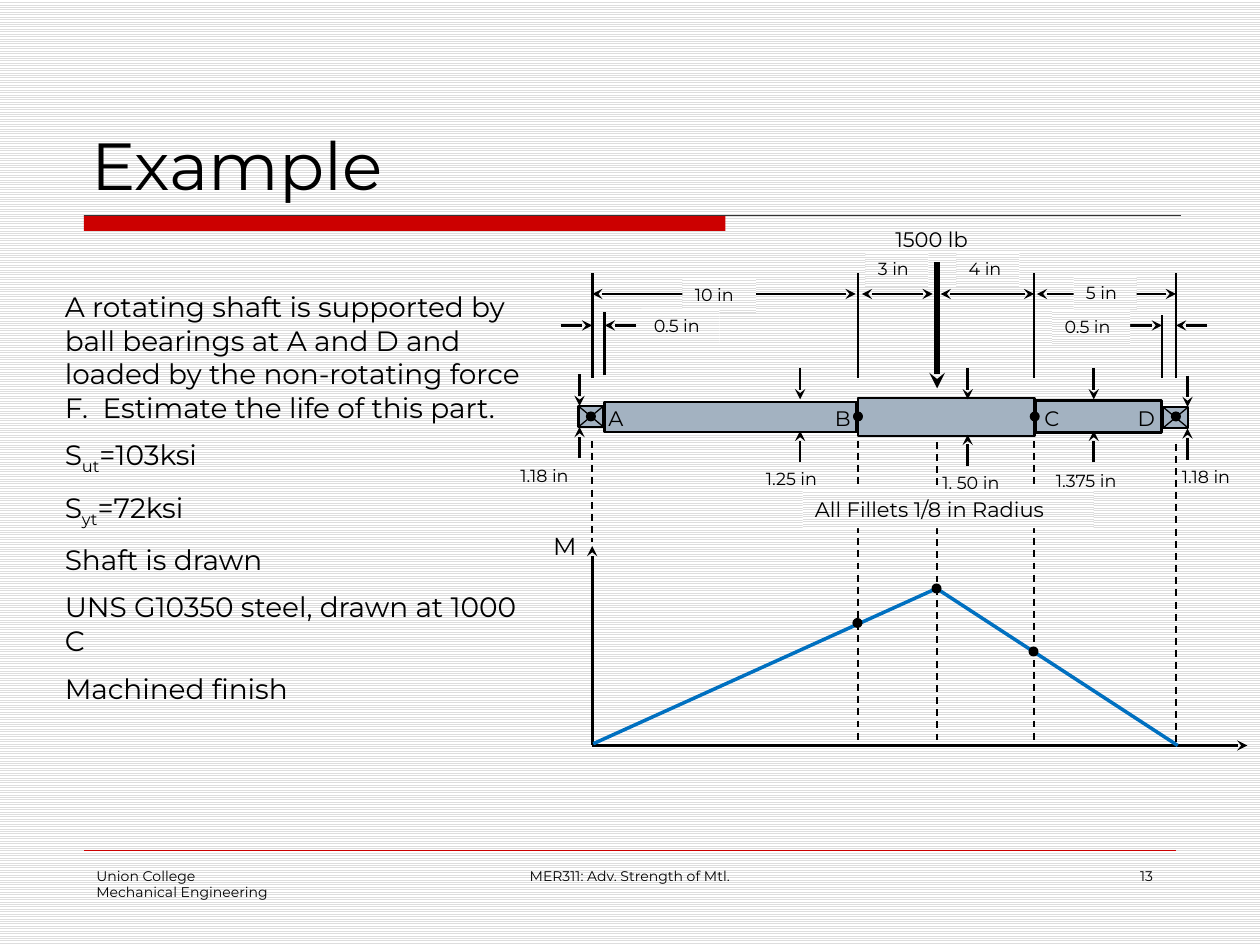
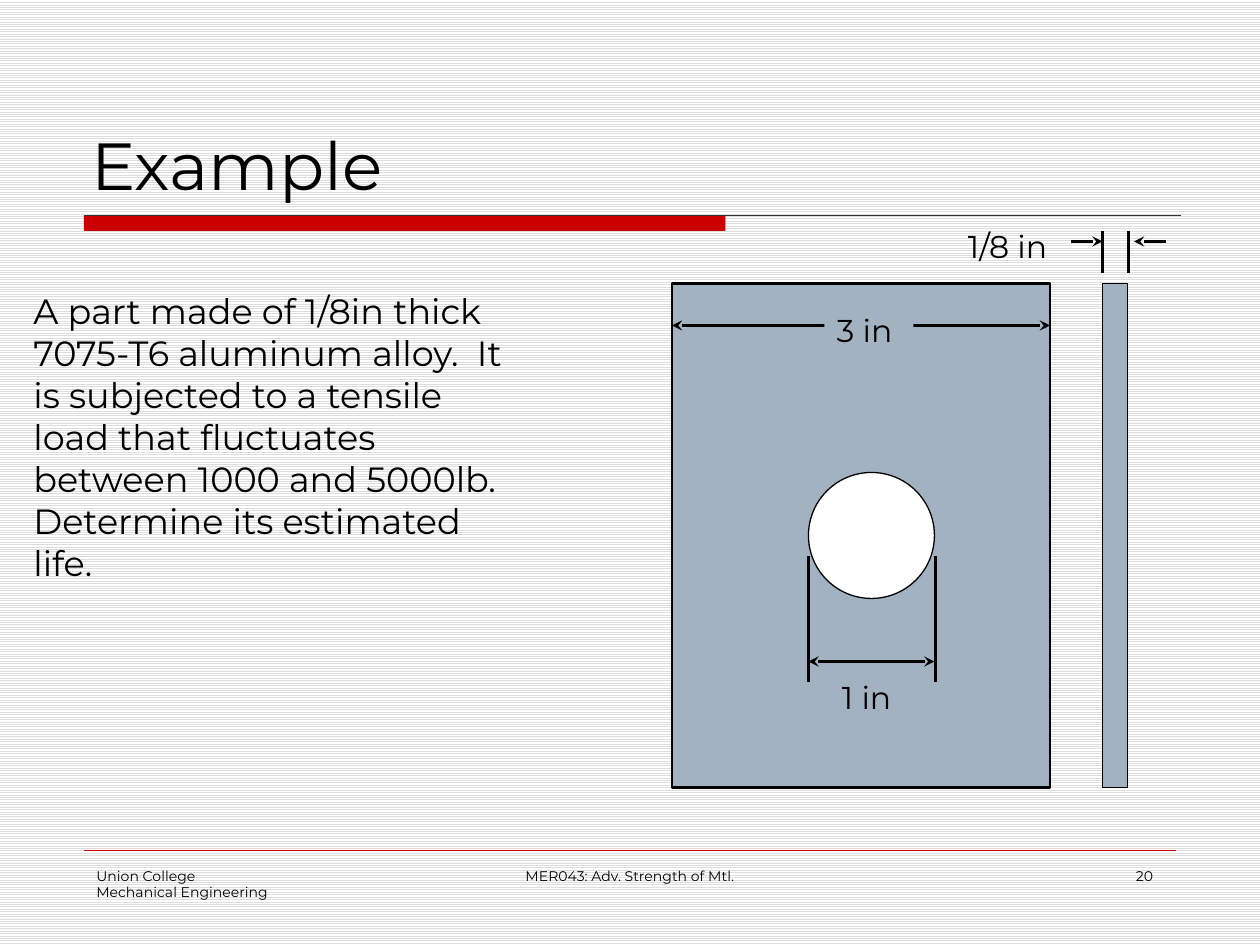
from lxml.etree import SubElement
from pptx import Presentation
from pptx.dml.color import RGBColor
from pptx.enum.dml import MSO_LINE, MSO_PATTERN
from pptx.enum.shapes import MSO_CONNECTOR, MSO_SHAPE
from pptx.enum.text import MSO_ANCHOR, MSO_AUTO_SIZE, PP_ALIGN
from pptx.oxml.ns import qn
from pptx.util import Pt

# Shared look
FONT = "Montserrat"
BLACK, WHITE, STRIPE = "000000", "FFFFFF", "DDDDDD"
RED, STEEL, BLUE, RULE = "CC0000", "A3B2C1", "0070C0", "333333"
ARROW_LENGTH = 18


def color(hex_string):
    return RGBColor.from_string(hex_string)


def fill_stripes(fill):
    fill.patterned()
    fill.pattern = MSO_PATTERN.LIGHT_HORIZONTAL
    fill.fore_color.rgb = color(STRIPE)
    fill.back_color.rgb = color(WHITE)


# Element helpers
def add_run(paragraph, text, size, subscript=False):
    run = paragraph.add_run()
    run.text = text
    run.font.name = FONT
    run.font.size = Pt(size)
    run.font.color.rgb = color(BLACK)
    if subscript:
        run.font.italic = None
        run._r.get_or_add_rPr().set("baseline", "-25000")


def add_text(slide, box, paragraphs, size, align=PP_ALIGN.LEFT, space=0):
    """Each paragraph is a string or a list of runs; odd runs are subscripts."""
    shape = slide.shapes.add_textbox(*map(Pt, box))
    frame = shape.text_frame
    frame.word_wrap = True
    for index, runs in enumerate(paragraphs):
        paragraph = frame.paragraphs[0] if index == 0 else frame.add_paragraph()
        paragraph.alignment = align
        if index and space:
            paragraph.space_before = Pt(space)
        runs = [runs] if isinstance(runs, str) else runs
        for position, text in enumerate(runs):
            add_run(paragraph, text, size, subscript=position % 2 == 1)
    return shape


def add_label(slide, text, left, top, width, size, fill=None):
    height = {10: 19.4, 12: 21.8, 14: 24.2, 18: 29}[size]
    shape = add_text(slide, (left, top, width, height), [text], size)
    shape.text_frame.word_wrap = False
    shape.text_frame.auto_size = MSO_AUTO_SIZE.SHAPE_TO_FIT_TEXT
    if fill == STRIPE:
        fill_stripes(shape.fill)
    elif fill:
        shape.fill.solid()
        shape.fill.fore_color.rgb = color(fill)


def add_block(slide, box, fill=STEEL, line_width=1.5, kind=MSO_SHAPE.RECTANGLE):
    shape = slide.shapes.add_shape(kind, *map(Pt, box))
    shape.shadow.inherit = False
    shape.fill.solid()
    shape.fill.fore_color.rgb = color(fill)
    if line_width:
        shape.line.color.rgb = color(BLACK)
        shape.line.width = Pt(line_width)
    else:
        shape.line.fill.background()


def add_line(slide, start, end, width=1.5, line_color=BLACK, dashed=False, arrows=()):
    """arrows holds "headEnd" (at start) and/or "tailEnd" (at end)."""
    connector = slide.shapes.add_connector(
        MSO_CONNECTOR.STRAIGHT, *map(Pt, (*start, *end)))
    connector.line.color.rgb = color(line_color)
    connector.line.width = Pt(width)
    if dashed:
        connector.line.dash_style = MSO_LINE.DASH
    properties = connector.element.spPr
    for arrow in arrows:
        SubElement(properties.find(qn("a:ln")), qn(f"a:{arrow}"), type="stealth")
    SubElement(properties, qn("a:effectLst"))


def add_arrow(slide, start, end, width=1.5):
    add_line(slide, start, end, width, arrows=["tailEnd"])


def add_dimension(slide, left, right, y):
    add_line(slide, (left, y), (right, y), arrows=["headEnd", "tailEnd"])


def add_gap_arrows(slide, left, right, y):
    add_arrow(slide, (left - ARROW_LENGTH, y), (left, y))
    add_arrow(slide, (right + ARROW_LENGTH, y), (right, y))


def add_dot(slide, x, y):
    add_block(slide, (x - 2.5, y - 2.5, 5, 5), BLACK, 0.75, MSO_SHAPE.OVAL)


def add_bearing(slide, left, top):
    right, bottom = left + 14.4, top + 12
    add_block(slide, (left, top, 14.4, 12))
    add_line(slide, (left, top), (right, bottom), 0.75)
    add_line(slide, (right, top), (left, bottom), 0.75)


def add_example_slide(presentation, course, number):
    """Slide with title, red band and footer."""
    slide = presentation.slides.add_slide(presentation.slide_layouts[5])
    title = slide.shapes.title
    title.left, title.top, title.width, title.height = map(Pt, (45, 24, 630, 96))
    frame = title.text_frame
    frame.auto_size = MSO_AUTO_SIZE.NONE
    frame.vertical_anchor = MSO_ANCHOR.BOTTOM
    frame.paragraphs[0].alignment = PP_ALIGN.LEFT
    add_run(frame.paragraphs[0], "Example", 38)

    add_block(slide, (48, 123, 366.5, 9), RED, 0)
    add_line(slide, (48, 123), (675, 123), 0.75, RULE)

    add_line(slide, (48, 486), (672, 486), 0.25, RED)
    add_text(slide, (48, 492, 150, 36), ["Union College", "Mechanical Engineering"], 8)
    add_text(slide, (246, 492, 228, 36), [course], 8, PP_ALIGN.CENTER)
    add_text(slide, (516, 492, 150, 36), [number], 8, PP_ALIGN.RIGHT)
    return slide


# Slide content
def build_shaft_slide(presentation):
    slide = add_example_slide(presentation, "MER311: Adv. Strength of Mtl.", "13")
    a, b, force, c, d = 338.4, 490.3, 535.5, 590.8, 672
    axis_y = 426

    # Projection lines from shaft to moment diagram
    for x, top, bottom in [(b, 252, 425), (c, 252, 425), (force, 252.5, 425.5),
                           (d, 253.5, axis_y), (a, 252, 309.6)]:
        add_line(slide, (x, top), (x, bottom), 1, dashed=True)

    # Problem statement
    add_text(slide, (30, 162, 282, 269), [
        "A rotating shaft is supported by ball bearings at A and D and loaded "
        "by the non-rotating force F.  Estimate the life of this part.",
        ["S", "ut", "=103ksi"],
        ["S", "yt", "=72ksi"],
        "Shaft is drawn",
        "UNS G10350 steel, drawn at 1000 C",
        "Machined finish",
    ], 16, space=8)

    # Stepped shaft and bearings
    for box in [(b, 227.5, 100.8, 21.6), (591.8, 229, 72, 18), (345.6, 229.7, 144, 17.3)]:
        add_block(slide, box)
    add_bearing(slide, 330.5, 232)
    add_bearing(slide, 664.6, 232.6)

    # Extension lines, force and lengths
    for x in (a, b, c, d):
        add_line(slide, (x, 216), (x, 156))
    add_line(slide, (345.6, 214.5), (345.6, 178.5))
    add_line(slide, (664, 216), (664, 180))
    add_arrow(slide, (force, 150), (force, 222), 3)
    for left, right in [(a, 489), (492.5, 533), (537.5, 591), (592.5, d)]:
        add_dimension(slide, left, right, 168)
    for text, left, top, width in [("10 in", 390, 159, 42), ("3 in", 494.6, 144, 36),
                                   ("4 in", 546.5, 144, 36), ("5 in", 613.5, 157.5, 36)]:
        add_label(slide, text, left, top, width, 10, STRIPE)
    add_label(slide, "1500 lb", 504.5, 126, 63.4, 12)

    # Bearing widths
    add_gap_arrows(slide, a, 345.6, 186)
    add_gap_arrows(slide, 664, d, 186)
    add_label(slide, "0.5 in", 366.5, 176.4, 44.6, 10, STRIPE)
    add_label(slide, "0.5 in", 601.2, 177, 44.6, 10, STRIPE)

    # Diameters: x, shaft top, shaft bottom, label, label left, label top, label width
    for x, top, bottom, text, left, label_top, width in [
            (331.2, 232, 244, "1.18 in", 290.2, 262, 51.8),
            (457.2, 228.2, 246.2, "1.25 in", 430.6, 264.2, 51.8),
            (553, 228.2, 248.4, "1. 50 in", 531.4, 266.2, 54.7),
            (625, 228.2, 246.2, "1.375 in", 596.2, 265, 58.3),
            (678.6, 232.6, 244.8, "1.18 in", 668.2, 263, 51.8)]:
        add_arrow(slide, (x, top - ARROW_LENGTH), (x, top))
        add_arrow(slide, (x, bottom + ARROW_LENGTH), (x, bottom))
        add_label(slide, text, left, label_top, width, 10)

    # Shaft points
    for text, x, left in [("A", 337.7, 340.6), ("B", b, 470), ("C", 591.3, 589.7), ("D", d, 643)]:
        add_dot(slide, x, 238)
        add_label(slide, text, left, 228, 23.8, 12)
    add_label(slide, "All Fillets 1/8 in Radius", 458.6, 280, 166.3, 12, STRIPE)

    # Moment diagram
    peak = (535.2, 336.3)
    add_arrow(slide, (a, axis_y), (712.8, axis_y))
    add_arrow(slide, (a, axis_y), (a, 312))
    add_line(slide, (339, 425), peak, 2, BLUE)
    add_line(slide, peak, (673, axis_y), 2, BLUE)
    for point in [(490, 356), (590.6, 372.3), peak]:
        add_dot(slide, *point)
    add_label(slide, "M", 309, 300.2, 28, 14)


def build_plate_slide(presentation):
    slide = add_example_slide(presentation, "MER043: Adv. Strength of Mtl.", "20")
    add_text(slide, (12, 162, 288, 175), [
        "A part made of 1/8in thick 7075-T6 aluminum alloy.  It is subjected to "
        "a tensile load that fluctuates between 1000 and 5000lb.  Determine its "
        "estimated life."], 20)

    # Plate front view, side view and hole
    add_block(slide, (384, 162, 216, 288))
    add_block(slide, (630, 162, 14.5, 288), line_width=0.75)
    add_block(slide, (462, 270, 72, 72), WHITE, 0.75, MSO_SHAPE.OVAL)

    # Hole diameter and plate width
    for x in (462, 534.6):
        add_line(slide, (x, 318), (x, 390))
    add_dimension(slide, 462, 534, 378)
    add_dimension(slide, 384, 600, 186)
    add_label(slide, "3 in", 471, 174, 51, 18, STEEL)
    add_label(slide, "1 in", 474, 384, 51, 18, STEEL)

    # Plate thickness
    for x in (630, 645):
        add_line(slide, (x, 156), (x, 132))
    add_gap_arrows(slide, 630, 648, 138)
    add_label(slide, "1/8 in", 546, 126, 68.4, 18)


def main():
    presentation = Presentation()
    presentation.slide_width, presentation.slide_height = Pt(720), Pt(540)
    fill_stripes(presentation.slide_master.background.fill)
    build_shaft_slide(presentation)
    build_plate_slide(presentation)
    presentation.save("out.pptx")


if __name__ == "__main__":
    main()
